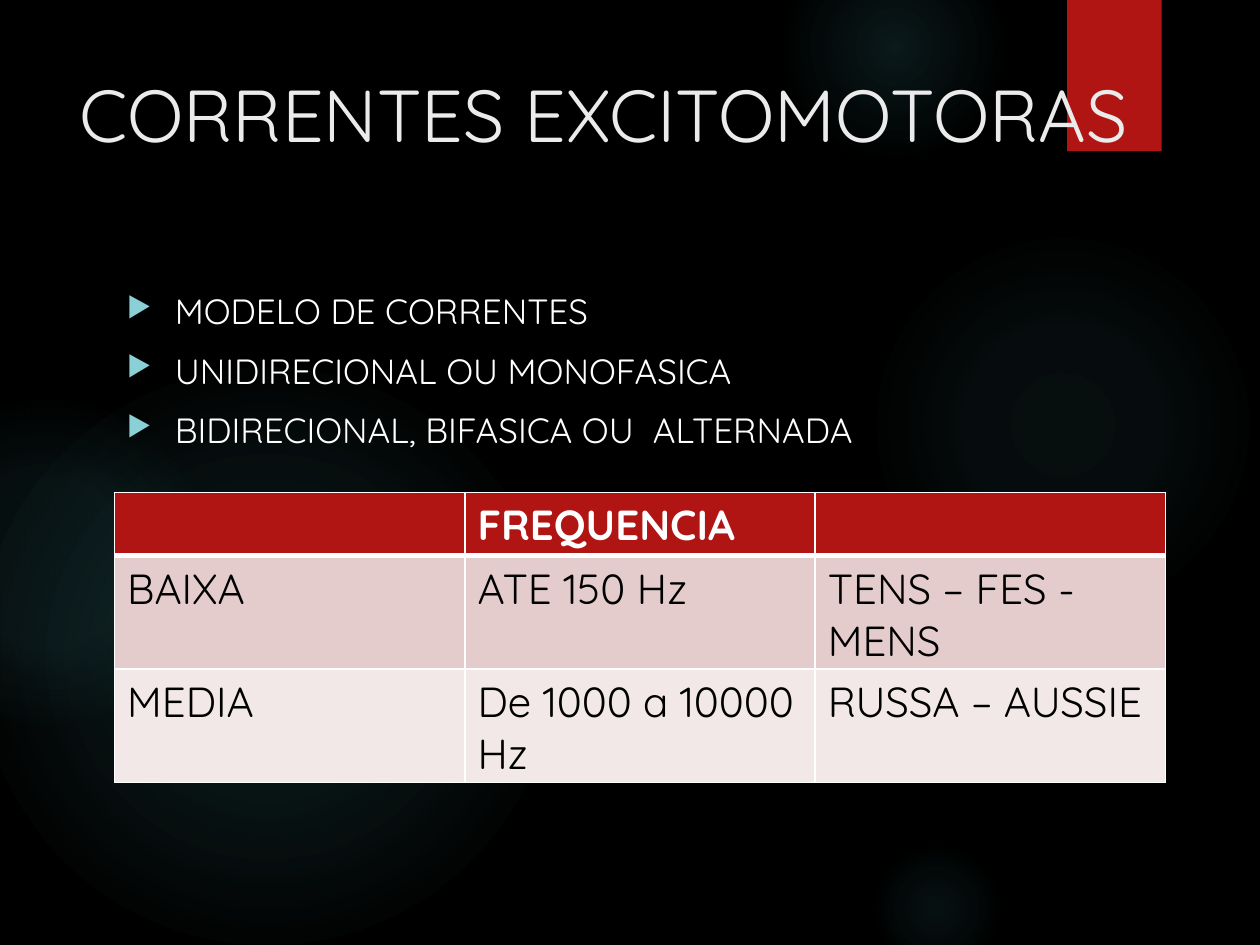
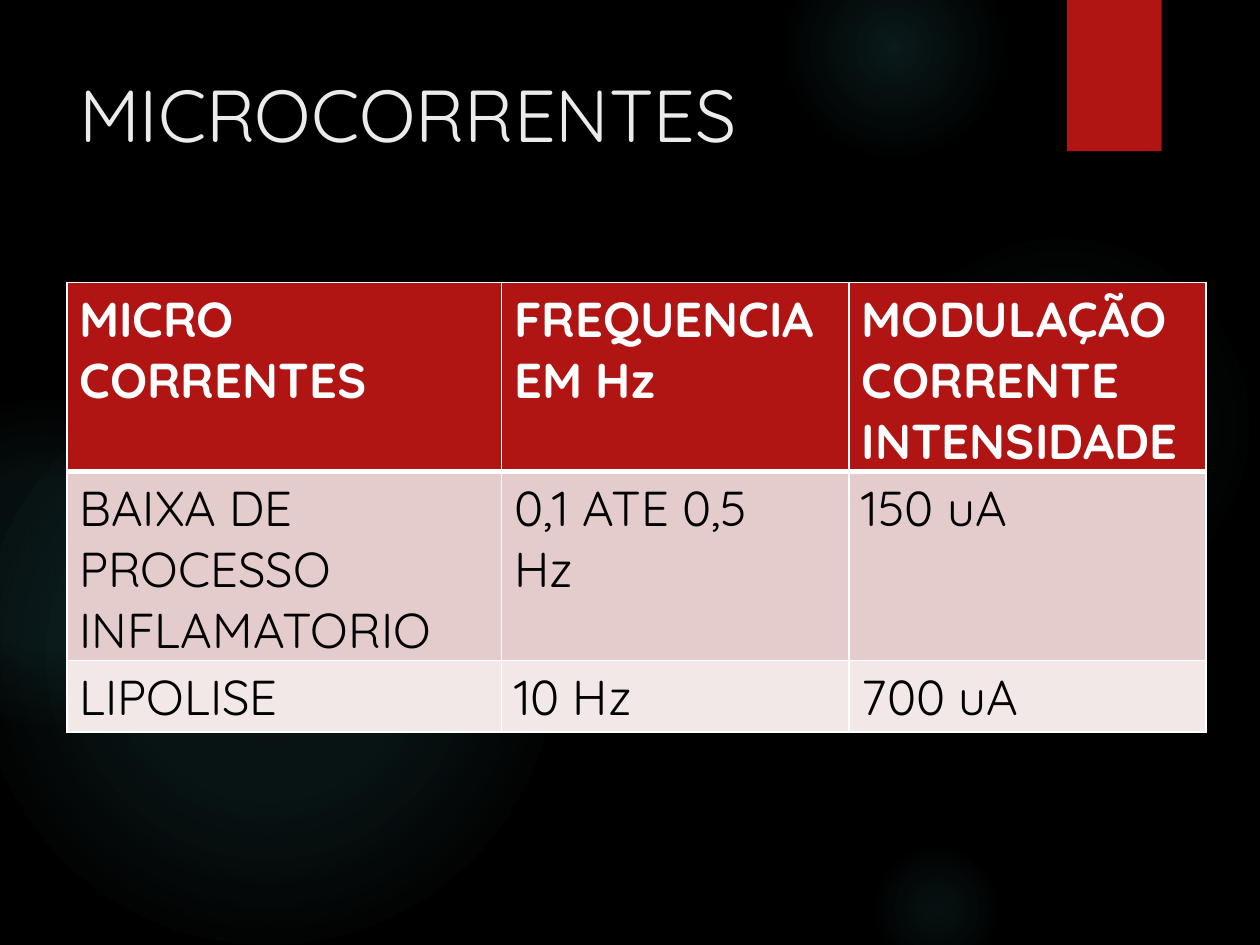
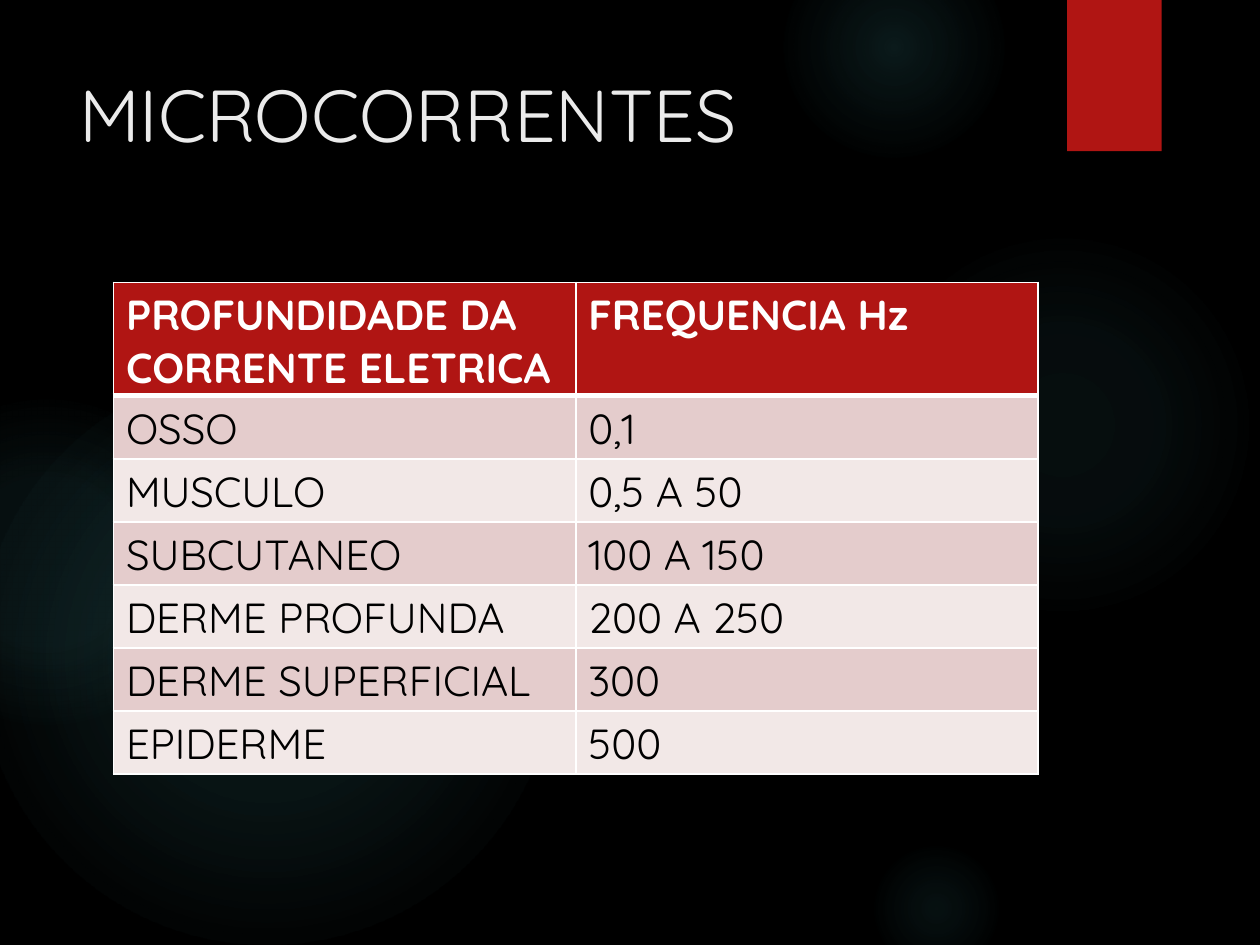
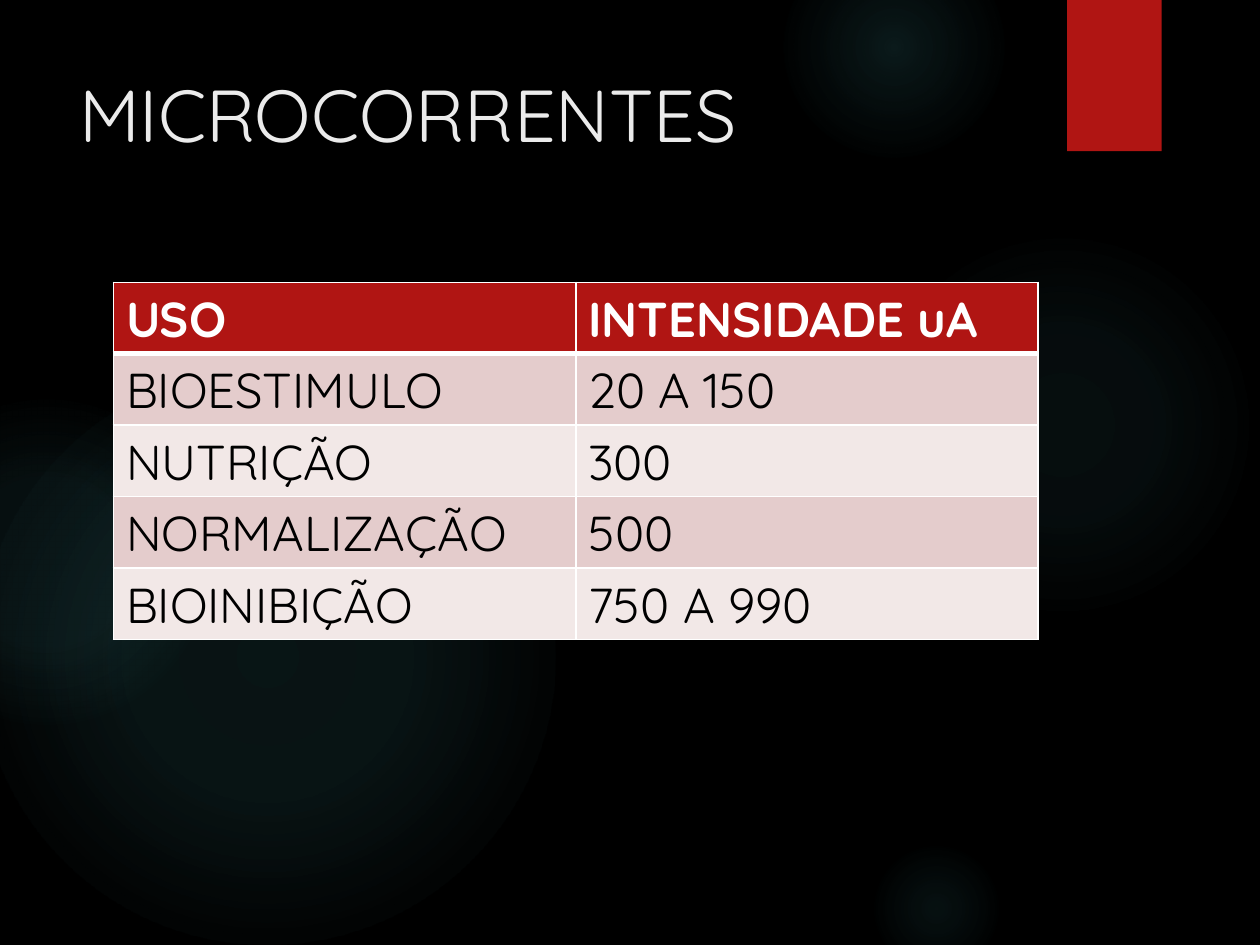
from pptx import Presentation
from pptx.dml.color import RGBColor
from pptx.enum.shapes import MSO_SHAPE
from pptx.enum.text import MSO_ANCHOR
from pptx.oxml import parse_xml
from pptx.oxml.ns import nsdecls
from pptx.util import Inches, Pt

FONT = "Quicksand"
BLACK = RGBColor(0x00, 0x00, 0x00)
WHITE = RGBColor(0xFF, 0xFF, 0xFF)
RED = RGBColor(0xB0, 0x15, 0x13)
GLOW = RGBColor(0x50, 0xB9, 0xC1)
BULLET = RGBColor(0x8A, 0xD0, 0xD6)
TITLE_COLOR = RGBColor(0xEB, 0xEB, 0xEB)
BANDS = (RGBColor(0xE4, 0xCC, 0xCC), RGBColor(0xF2, 0xE8, 0xE7))

ROW_HEIGHT = 0.41
GLOWS = [
    (6.89, 1.83, 3.08, ((0, 7), (36, 6), (69, 0))),
    (6.22, -0.5, 1.75, ((0, 14), (36, 7), (73, 0))),
    (6.89, 6.67, 1.08, ((0, 9), (36, 5), (66, 0))),
    (-0.17, 2.92, 4.58, ((0, 11), (36, 10), (75, 0))),
    (-0.92, 3.17, 2.58, ((0, 8), (36, 8), (72, 0))),
]


def add_xml(parent, xml, index=None):
    tag, rest = xml.split(">", 1) if "/>" not in xml.split(">", 1)[0] + ">" else (xml[:-2], None)
    declared = f"{tag} {nsdecls('a')}" + ("/>" if rest is None else f">{rest}")
    element = parse_xml(declared)
    parent.insert(len(parent) if index is None else index, element)


def add_plain_shape(slide, kind, left, top, width, height):
    shape = slide.shapes.add_shape(
        kind, Inches(left), Inches(top), Inches(width), Inches(height))
    shape.shadow.inherit = False
    shape.line.fill.background()
    return shape


def add_glow(slide, left, top, diameter, stops):
    glow = add_plain_shape(slide, MSO_SHAPE.OVAL, left, top, diameter, diameter)
    stop_xml = "".join(
        f'<a:gs pos="{position * 1000}"><a:srgbClr val="{GLOW}">'
        f'<a:alpha val="{alpha * 1000}"/></a:srgbClr></a:gs>'
        for position, alpha in stops)
    add_xml(
        glow._element.spPr,
        f'<a:gradFill rotWithShape="1"><a:gsLst>{stop_xml}</a:gsLst><a:path path="circle">'
        '<a:fillToRect l="50000" t="50000" r="50000" b="50000"/></a:path></a:gradFill>',
        index=2)


def add_ribbon(slide, left, top, width, height):
    ribbon = add_plain_shape(slide, MSO_SHAPE.RECTANGLE, left, top, width, height)
    ribbon.fill.solid()
    ribbon.fill.fore_color.rgb = RED
    effects = ribbon._element.spPr.find("{*}effectLst")
    add_xml(
        effects,
        f'<a:outerShdw blurRad="{Pt(3)}" dist="{Pt(2)}" dir="5400000" rotWithShape="0">'
        f'<a:srgbClr val="{BLACK}"><a:alpha val="45000"/></a:srgbClr></a:outerShdw>')


def add_run(paragraph, text, size, color, bold=False):
    run = paragraph.add_run()
    run.text = text
    run.font.name = FONT
    run.font.size = Pt(size)
    run.font.bold = bold
    run.font.color.rgb = color


def add_lines(text_frame, lines, size, color, bold=False):
    for index, line in enumerate(lines):
        paragraph = text_frame.add_paragraph() if index else text_frame.paragraphs[0]
        add_run(paragraph, line, size, color, bold)


def add_text_box(slide, left, top, width, height):
    box = slide.shapes.add_textbox(
        Inches(left), Inches(top), Inches(width), Inches(height))
    box.text_frame.word_wrap = True
    box.text_frame.vertical_anchor = MSO_ANCHOR.TOP
    return box.text_frame


def add_bullets(slide, left, top, width, height, lines):
    text_frame = add_text_box(slide, left, top, width, height)
    add_lines(text_frame, lines, 20, WHITE)
    for index, paragraph in enumerate(text_frame.paragraphs):
        properties = paragraph._p.get_or_add_pPr()
        properties.set("marL", str(Inches(0.38)))
        properties.set("indent", str(-Inches(0.38)))
        add_xml(properties, f'<a:buClr><a:srgbClr val="{BULLET}"/></a:buClr>')
        add_xml(properties, '<a:buSzPct val="80000"/>')
        add_xml(properties, '<a:buChar char="▶"/>')
        if index:
            paragraph.space_before = Pt(10)


def set_borders(cell, top, bottom):
    properties = cell._tc.get_or_add_tcPr()
    for side, width in (("L", 1), ("R", 1), ("T", top), ("B", bottom)):
        add_xml(
            properties,
            f'<a:ln{side} w="{Pt(width)}"><a:solidFill><a:srgbClr val="{WHITE}"/>'
            f'</a:solidFill></a:ln{side}>')


def add_data_table(slide, left, top, height, column_widths, size, rows):
    frame = slide.shapes.add_table(
        len(rows), len(column_widths), Inches(left), Inches(top),
        Inches(sum(column_widths)), Inches(height))
    table = frame.table
    for column, width in zip(table.columns, column_widths):
        column.width = Inches(width)
    for row_index, values in enumerate(rows):
        is_header = row_index == 0
        table.rows[row_index].height = Inches(ROW_HEIGHT)
        for column_index, value in enumerate(values):
            cell = table.cell(row_index, column_index)
            set_borders(cell, 3 if row_index == 1 else 1, 3 if is_header else 1)
            cell.fill.solid()
            cell.fill.fore_color.rgb = RED if is_header else BANDS[(row_index - 1) % 2]
            if value:
                add_lines(cell.text_frame, value.split("\n"), size,
                          WHITE if is_header else BLACK, is_header)
    frame.height = Inches(height)


def add_base_slide(presentation, title, title_width=7.72):
    slide = presentation.slides.add_slide(presentation.slide_layouts[6])
    slide.background.fill.solid()
    slide.background.fill.fore_color.rgb = BLACK
    for glow in GLOWS:
        add_glow(slide, *glow)
    add_ribbon(slide, 8.47, 0, 0.75, 1.2)
    add_lines(add_text_box(slide, 0.53, 0.5, title_width, 1.53), [title], 42, TITLE_COLOR)
    return slide


def build_excitomotor_slide(presentation):
    slide = add_base_slide(presentation, "CORRENTES EXCITOMOTORAS", title_width=8.72)
    add_bullets(slide, 0.91, 2.25, 7.34, 4.59, [
        "MODELO DE CORRENTES",
        "UNIDIRECIONAL OU MONOFASICA",
        "BIDIRECIONAL, BIFASICA OU  ALTERNADA",
    ])
    add_data_table(slide, 0.91, 3.91, 2.3, [2.78] * 3, 24, [
        ("", "FREQUENCIA", ""),
        ("BAIXA", "ATE 150 Hz", "TENS – FES - MENS"),
        ("MEDIA", "De 1000 a 10000 Hz", "RUSSA – AUSSIE"),
    ])


def build_microcurrent_slide(presentation, left, height, column_widths, size, rows):
    slide = add_base_slide(presentation, "MICROCORRENTES")
    add_data_table(slide, left, 2.24, height, column_widths, size, rows)


def main():
    presentation = Presentation()
    presentation.slide_width = Inches(10)
    presentation.slide_height = Inches(7.5)
    build_excitomotor_slide(presentation)
    build_microcurrent_slide(presentation, 0.53, 3.57, [3.45, 2.76, 2.83], 28, [
        ("MICRO\nCORRENTES", "FREQUENCIA EM Hz", "MODULAÇÃO CORRENTE\nINTENSIDADE"),
        ("BAIXA DE PROCESSO INFLAMATORIO", "0,1 ATE 0,5\nHz", "150 uA"),
        ("LIPOLISE", "10 Hz", "700 uA"),
    ])
    build_microcurrent_slide(presentation, 0.9, 3.9, [3.67] * 2, 24, [
        ("PROFUNDIDADE DA CORRENTE ELETRICA", "FREQUENCIA Hz"),
        ("OSSO", "0,1"),
        ("MUSCULO", "0,5 A 50"),
        ("SUBCUTANEO", "100 A 150"),
        ("DERME PROFUNDA", "200 A 250"),
        ("DERME SUPERFICIAL", "300"),
        ("EPIDERME", "500"),
    ])
    build_microcurrent_slide(presentation, 0.9, 2.83, [3.67] * 2, 28, [
        ("USO", "INTENSIDADE uA"),
        ("BIOESTIMULO", "20 A 150"),
        ("NUTRIÇÃO", "300"),
        ("NORMALIZAÇÃO", "500"),
        ("BIOINIBIÇÃO", "750 A 990"),
    ])
    presentation.save("out.pptx")


if __name__ == "__main__":
    main()
